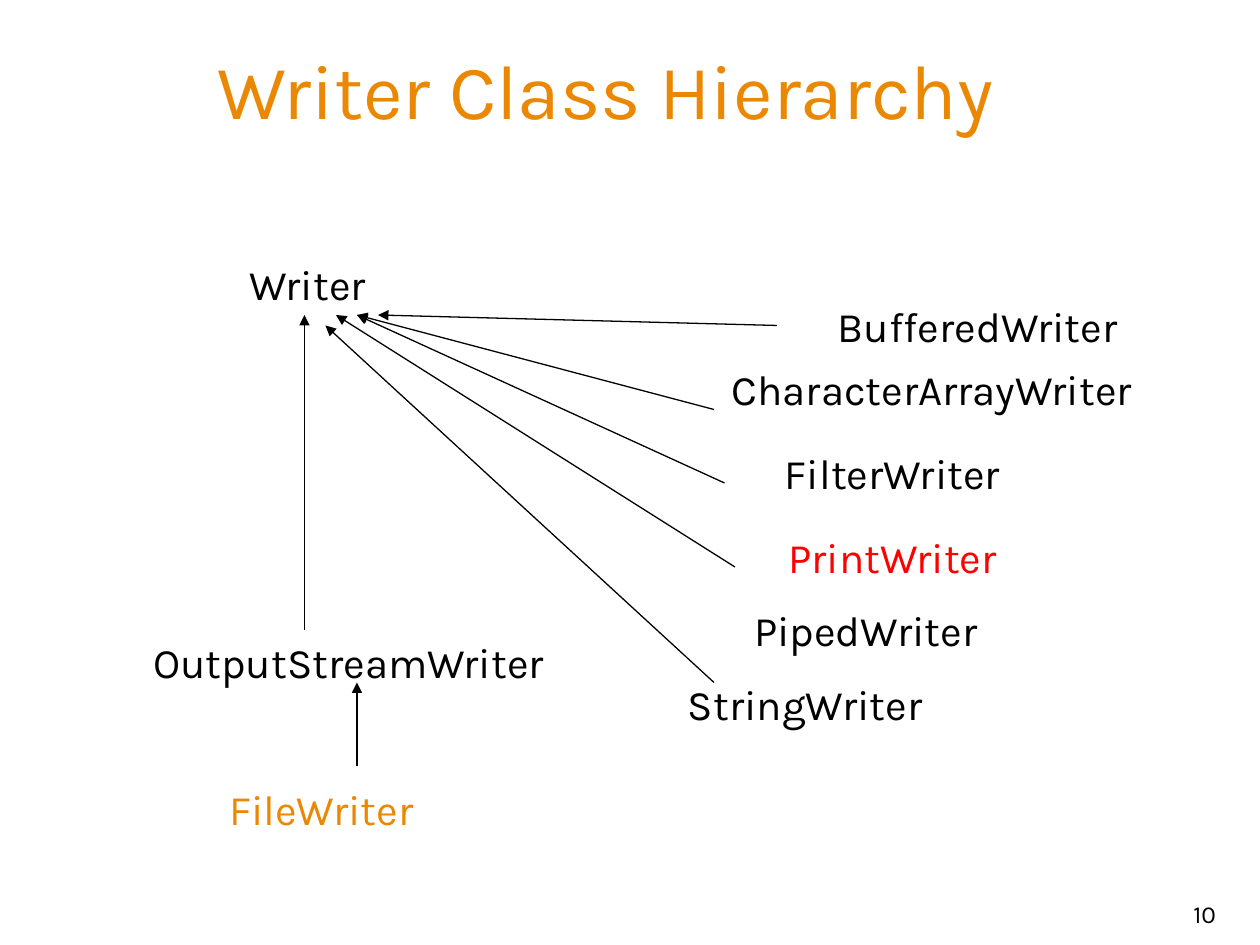
import dataclasses

import lxml.etree
import pptx
import pptx.dml.color
import pptx.enum.shapes
import pptx.enum.text
import pptx.oxml.ns
import pptx.util

SCALE = 7620  # EMU in one px, 120 px to the inch
ROW = 60
FONT = "Karla"
BLACK, ORANGE, RED, WHITE = "000000", "EB8803", "FF0000", "FFFFFF"
ALIGN = pptx.enum.text.PP_ALIGN
ANCHOR = pptx.enum.text.MSO_ANCHOR
FIT = pptx.enum.text.MSO_AUTO_SIZE


@dataclasses.dataclass
class Label:
    text: str
    left: int
    top: int
    width: int
    height: int = ROW
    color: str = BLACK
    size: int = 24
    align: ALIGN = ALIGN.CENTER
    anchor: ANCHOR = ANCHOR.TOP
    fit: FIT = FIT.SHAPE_TO_FIT_TEXT
    wrap: bool = False
    fill: str = ""


@dataclasses.dataclass
class Arrow:
    start: tuple[int, int]
    end: tuple[int, int]


# Title and slide number
FRAME = [
    Label("10", 920, 830, 250, size=14, align=ALIGN.RIGHT,
          anchor=ANCHOR.BOTTOM, fit=FIT.NONE, wrap=True),
    Label("Writer Class Hierarchy", 0, 20, 1154, 130, ORANGE, 44,
          anchor=ANCHOR.MIDDLE, fit=FIT.NONE, wrap=True, fill=WHITE),
]

# Class names
NAMES = [
    Label("Writer", 222, 240, 142),
    Label("BufferedWriter", 778, 280, 306),
    Label("CharacterArrayWriter", 674, 340, 427),
    Label("FilterWriter", 732, 420, 236),
    Label("PrintWriter", 734, 500, 232, color=RED),
    Label("PipedWriter", 701, 570, 247),
    Label("OutputStreamWriter", 127, 600, 410),
    Label(" StringWriter", 550, 640, 424, wrap=True),
    Label("FileWriter", 140, 740, 332, color=ORANGE, wrap=True),
]

# Arrows from subclass to parent
ARROWS = [
    Arrow((740, 310), (360, 300)),
    Arrow((680, 390), (340, 300)),
    Arrow((690, 460), (340, 300)),
    Arrow((700, 540), (320, 300)),
    Arrow((290, 600), (290, 300)),
    Arrow((340, 730), (340, 650)),
    Arrow((680, 650), (310, 310)),
]


def px(value: int) -> pptx.util.Emu:
    return pptx.util.Emu(value * SCALE)


def rgb(code: str) -> pptx.dml.color.RGBColor:
    return pptx.dml.color.RGBColor.from_string(code)


def style(item, values: dict) -> None:
    for name, value in values.items():
        setattr(item, name, value)


def write(slide, label: Label) -> None:
    spots = (label.left, label.top, label.width, label.height)
    box = slide.shapes.add_textbox(*map(px, spots))
    if label.fill:
        box.fill.solid()
        box.fill.fore_color.rgb = rgb(label.fill)
    frame = box.text_frame
    style(frame, {"auto_size": label.fit, "word_wrap": label.wrap,
                  "vertical_anchor": label.anchor})
    line = frame.paragraphs[0]
    line.alignment = label.align
    run = line.add_run()
    run.text = label.text
    style(run.font, {"name": FONT, "size": pptx.util.Pt(label.size)})
    run.font.color.rgb = rgb(label.color)


def link(slide, arrow: Arrow) -> None:
    kind = pptx.enum.shapes.MSO_CONNECTOR.STRAIGHT
    wire = slide.shapes.add_connector(kind, *map(px, arrow.start + arrow.end))
    wire.line.width = pptx.util.Pt(0.75)
    wire.line.color.rgb = rgb(BLACK)
    qn = pptx.oxml.ns.qn
    props = wire.line._get_or_add_ln()
    lxml.etree.SubElement(props, qn("a:tailEnd"), type="triangle")
    lxml.etree.SubElement(wire._element.spPr, qn("a:effectLst"))


def main() -> None:
    deck = pptx.Presentation()
    style(deck, {"slide_width": px(1200), "slide_height": px(900)})
    slide = deck.slides.add_slide(deck.slide_layouts[6])
    for label in FRAME + NAMES:
        write(slide, label)
    for arrow in ARROWS:
        link(slide, arrow)
    deck.save("out.pptx")


if __name__ == "__main__":
    main()
